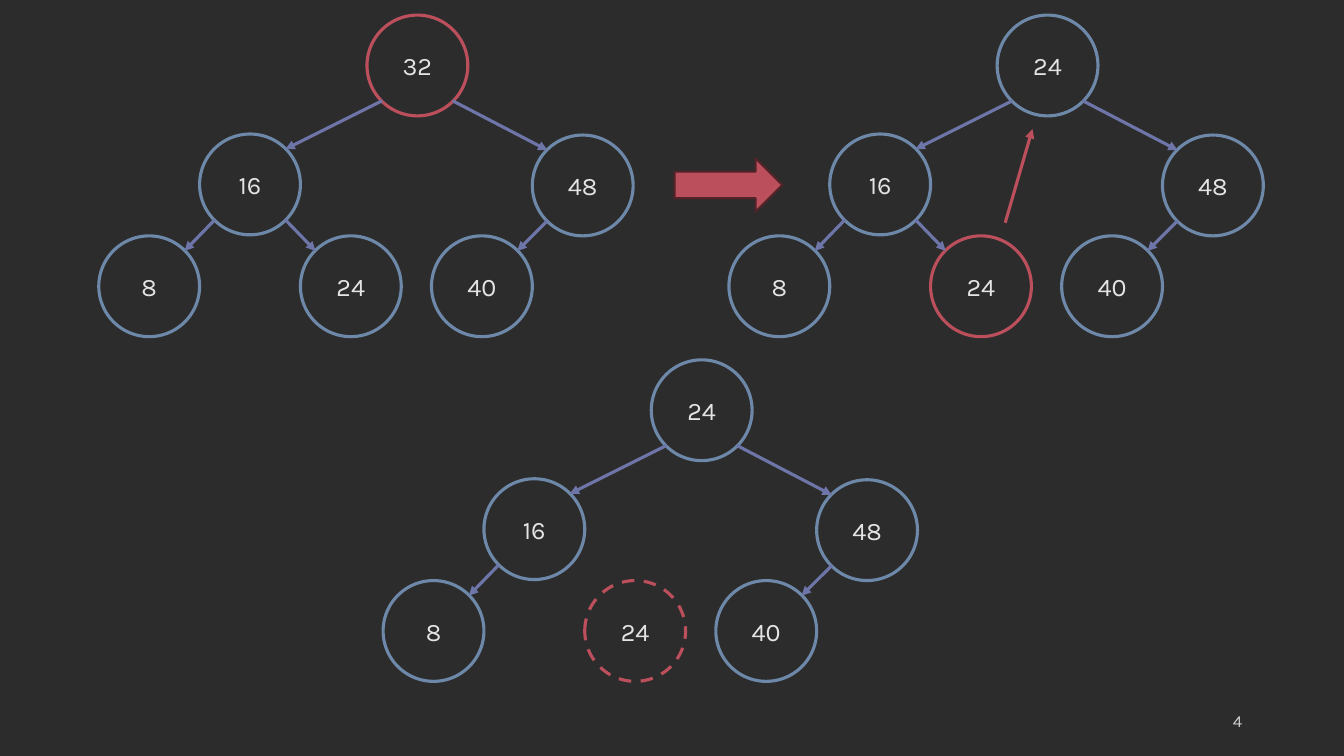
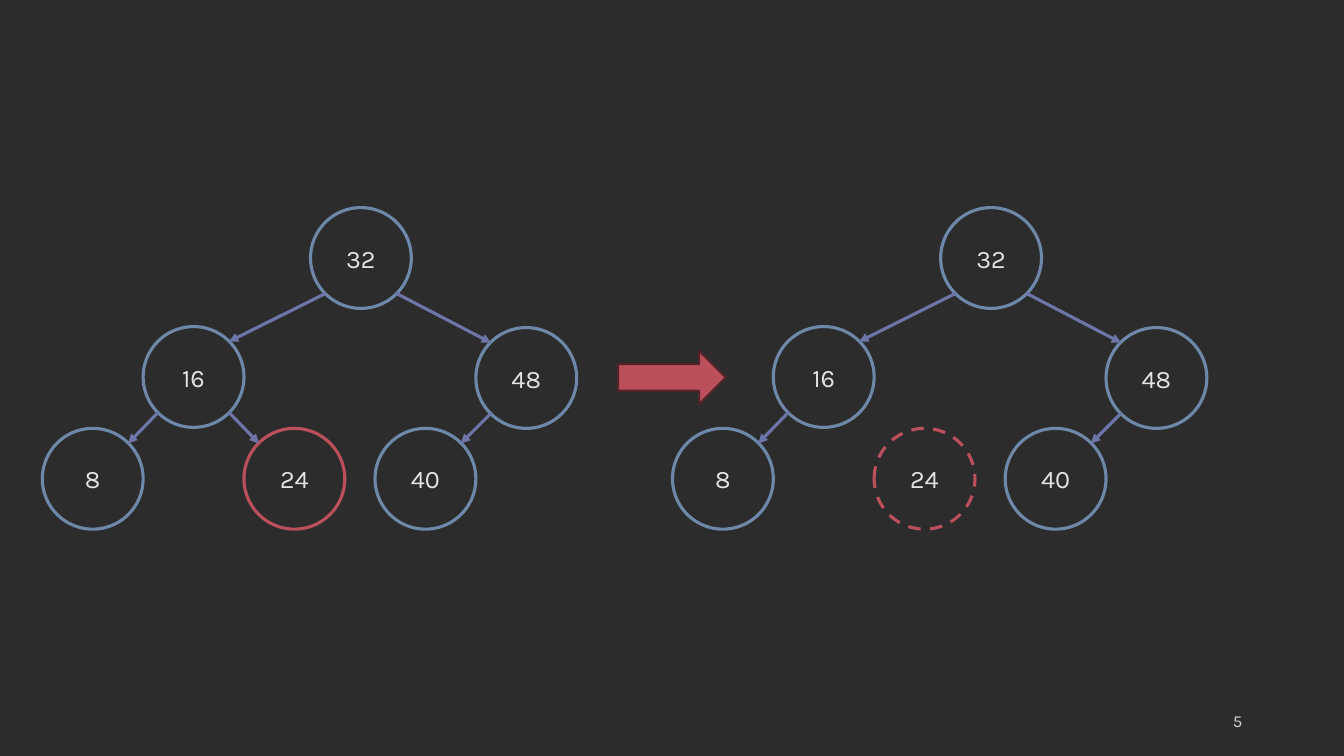
"""Build two slides that show how a node is removed from a binary search tree."""
from lxml.etree import SubElement
from pptx import Presentation
from pptx.dml.color import RGBColor
from pptx.enum.dml import MSO_LINE
from pptx.enum.shapes import MSO_CONNECTOR, MSO_SHAPE
from pptx.enum.text import MSO_ANCHOR, PP_ALIGN
from pptx.oxml.ns import qn
from pptx.util import Inches, Pt

DARK = RGBColor(0x2C, 0x2C, 0x2C)
LIGHT = RGBColor(0xE4, 0xE4, 0xE4)
GREY = RGBColor(0xD1, 0xD1, 0xD1)
BLUE = RGBColor(0x6D, 0x88, 0xA8)
VIOLET = RGBColor(0x6E, 0x75, 0xA8)
RED = RGBColor(0xBB, 0x4F, 0x5C)
MAROON = RGBColor(0x52, 0x23, 0x28)

FONT = "Karla"
NODE = 1
NEAR, FAR = 0.15, 0.85
TREE_GAP = 6.25

OFFSETS = {
    "root": (0, 0),
    "left": (-1.66, 1.18),
    "right": (1.64, 1.19),
    "left.left": (-2.66, 2.19),
    "left.right": (-0.66, 2.19),
    "right.left": (0.64, 2.19),
}
VALUES = {"left": "16", "right": "48", "left.left": "8",
          "left.right": "24", "right.left": "40"}


class Deck:
    """Presentation style and the slide being drawn."""

    def __init__(self):
        self.prs = Presentation()
        self.prs.slide_width = Inches(13.33)
        self.prs.slide_height = Inches(7.5)
        fill = self.prs.slide_master.background.fill
        fill.solid()
        fill.fore_color.rgb = DARK
        self.s = None

    def slide(self, number):
        """Start a slide and write its number."""
        self.s = self.prs.slides.add_slide(self.prs.slide_layouts[6])
        sp = self.s.shapes.add_textbox(Inches(9.42), Inches(6.95), Inches(3), Inches(0.4))
        self.text(sp, str(number), 12, GREY, PP_ALIGN.RIGHT)

    def text(self, sp, words, size, color, align):
        """Write one line of text, centred vertically in its shape."""
        tf = sp.text_frame
        tf.word_wrap = True
        tf.vertical_anchor = MSO_ANCHOR.MIDDLE
        p = tf.paragraphs[0]
        p.alignment = align
        r = p.add_run()
        r.text = words
        r.font.name = FONT
        r.font.size = Pt(size)
        r.font.color.rgb = color

    def node(self, x, y, value, color=BLUE, dashed=False):
        """Draw a tree node as an outlined circle."""
        sp = self.s.shapes.add_shape(MSO_SHAPE.OVAL, Inches(x), Inches(y),
                                     Inches(NODE), Inches(NODE))
        sp.shadow.inherit = False
        sp.fill.background()
        sp.line.color.rgb = color
        sp.line.width = Pt(2.25)
        if dashed:
            sp.line.dash_style = MSO_LINE.DASH
        tf = sp.text_frame
        tf.margin_left = tf.margin_top = tf.margin_right = tf.margin_bottom = 0
        self.text(sp, value, 18, LIGHT, PP_ALIGN.CENTER)

    def arrow(self, start, end, color=VIOLET):
        """Draw a straight line with an arrowhead at its end."""
        points = [Inches(v) for v in (*start, *end)]
        sp = self.s.shapes.add_connector(MSO_CONNECTOR.STRAIGHT, *points)
        sp.line.color.rgb = color
        sp.line.width = Pt(2.25)
        props = sp.element.spPr
        SubElement(props.find(qn("a:ln")), qn("a:tailEnd"), type="triangle")
        SubElement(props, qn("a:effectLst"))

    def tree(self, x, y, root, marked, removed=False):
        """Draw a tree whose root is at x, y, with one node marked or removed."""
        spots = {name: (x + dx, y + dy) for name, (dx, dy) in OFFSETS.items()}
        for name, (left, top) in spots.items():
            is_marked = name == marked
            self.node(left, top, VALUES.get(name, root),
                      RED if is_marked else BLUE, is_marked and removed)
            if name == "root" or (is_marked and removed):
                continue
            parent, _, side = name.rpartition(".")
            px, py = spots[parent or "root"]
            out, into = (NEAR, FAR) if side == "left" else (FAR, NEAR)
            self.arrow((px + out, py + FAR), (left + into, top + NEAR))

    def step(self, x, y):
        """Draw the block arrow that follows the tree with its root at x, y."""
        sp = self.s.shapes.add_shape(MSO_SHAPE.RIGHT_ARROW, Inches(x + 3.05),
                                     Inches(y + 1.42), Inches(1.07), Inches(0.53))
        sp.shadow.inherit = False
        sp.fill.solid()
        sp.fill.fore_color.rgb = RED
        sp.line.color.rgb = MAROON
        sp.line.width = Pt(1.5)


def main():
    """Draw both slides and save them."""
    deck = Deck()

    deck.slide(4)
    x, y = 3.64, 0.15
    deck.tree(x, y, "32", "root")
    deck.step(x, y)
    deck.tree(x + TREE_GAP, y, "24", "left.right")
    deck.arrow((9.97, 2.21), (10.24, 1.28), RED)
    deck.tree(6.46, 3.57, "24", "left.right", removed=True)

    deck.slide(5)
    x, y = 3.08, 2.06
    deck.tree(x, y, "32", "left.right")
    deck.step(x, y)
    deck.tree(x + TREE_GAP, y, "32", "left.right", removed=True)

    deck.prs.save("out.pptx")


if __name__ == "__main__":
    main()
